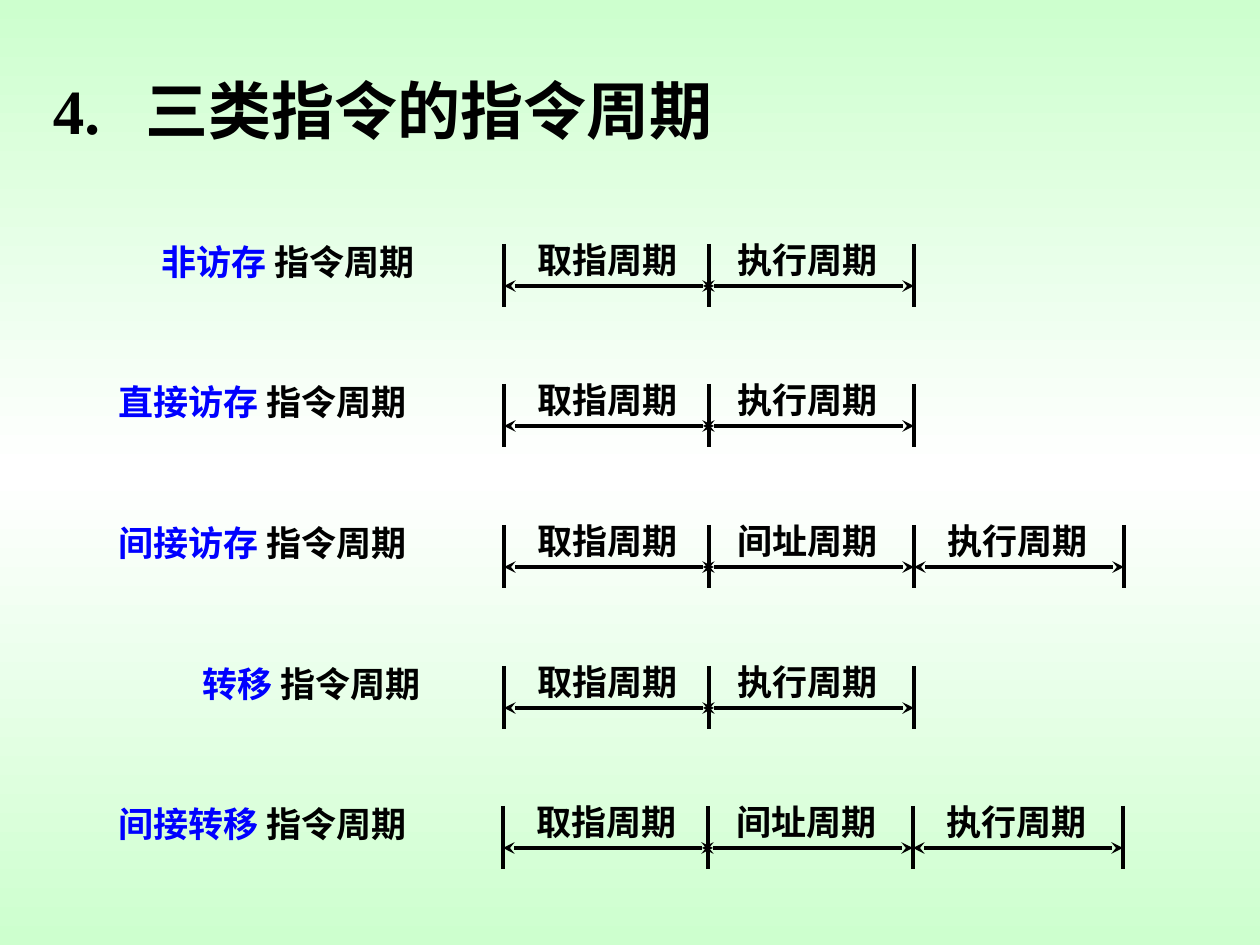
from copy import deepcopy
from dataclasses import dataclass

from lxml.etree import SubElement
from pptx import Presentation
from pptx.dml.color import RGBColor
from pptx.enum.shapes import MSO_CONNECTOR as Connector
from pptx.enum.text import MSO_ANCHOR as Anchor, MSO_AUTO_SIZE as AutoSize, PP_ALIGN as Align
from pptx.oxml.ns import qn
from pptx.util import Inches, Pt

SCALE = Inches(1) / 126


def px(length):
    return round(length * SCALE)


@dataclass(frozen=True)
class Theme:
    font: str = "Times New Roman"
    ink: RGBColor = RGBColor(0x00, 0x00, 0x00)
    accent: RGBColor = RGBColor(0x00, 0x00, 0xFF)
    edge: RGBColor = RGBColor(0xCD, 0xFF, 0xCE)
    middle: RGBColor = RGBColor(0xFF, 0xFF, 0xFF)
    title_size: Pt = Pt(36)
    text_size: Pt = Pt(20)
    line_width: Pt = Pt(2.25)


class SlideBuilder:
    def __init__(self, slide, theme):
        self.slide = slide
        self.theme = theme

    def background(self):
        fill = self.slide.background.fill
        fill.gradient()
        fill.gradient_angle = 270
        for stop in fill.gradient_stops:
            stop.color.rgb = self.theme.middle
        stops = self.slide.element.find(".//" + qn("a:gsLst"))
        stops.insert(1, deepcopy(stops[0]))
        colors = (self.theme.edge, self.theme.middle, self.theme.edge)
        for stop, position, color in zip(fill.gradient_stops, (0, 0.5, 1), colors):
            stop.position = position
            stop.color.rgb = color

    def style(self, paragraph, size):
        paragraph.alignment = Align.LEFT
        font = paragraph.font
        font.name, font.size, font.bold = self.theme.font, size, True
        font.color.rgb = self.theme.ink

    def title(self, number, heading, x, y, w, h, indent):
        title = self.slide.shapes.title
        title.left, title.top, title.width, title.height = map(px, (x, y, w, h))
        frame = title.text_frame
        frame.auto_size = AutoSize.NONE
        frame.word_wrap = True
        frame.vertical_anchor = Anchor.MIDDLE
        frame.margin_left = frame.margin_right = 0
        frame.text = f"{number}\t{heading}"
        paragraph = frame.paragraphs[0]
        self.style(paragraph, self.theme.title_size)
        # The hanging indent sets the gap after the number
        properties = paragraph._p.get_or_add_pPr()
        properties.set("marL", str(px(indent)))
        properties.set("indent", str(-px(indent)))

    def text(self, shapes, x, y, w, h, words, lead=""):
        box = shapes.add_textbox(px(x), px(y), px(w), px(h))
        frame = box.text_frame
        frame.word_wrap = False
        frame.auto_size = AutoSize.NONE
        paragraph = frame.paragraphs[0]
        self.style(paragraph, self.theme.text_size)
        if lead:
            lead_run = paragraph.add_run()
            lead_run.text = lead + " "
            lead_run.font.color.rgb = self.theme.accent
        paragraph.add_run().text = words

    def line(self, shapes, x1, y1, x2, y2, arrows=False):
        line = shapes.add_connector(Connector.STRAIGHT, px(x1), px(y1), px(x2), px(y2))
        line.line.width = self.theme.line_width
        line.line.color.rgb = self.theme.ink
        properties = line.element.spPr
        if arrows:
            for end in ("a:headEnd", "a:tailEnd"):
                SubElement(properties.find(qn("a:ln")), qn(end), type="stealth")
        SubElement(properties, qn("a:effectLst"))

    def timeline(self, phases, top, shift):
        shapes = self.slide.shapes.add_group_shape().shapes
        for boundary in BOUNDARIES[:len(phases) + 1]:
            self.line(shapes, boundary + shift, top, boundary + shift, top + TICK_HEIGHT)
        for phase, (start, end), text_x in zip(phases, SPANS, PHASE_TEXT_X):
            arrow_y = top + ARROW_DROP
            self.line(shapes, start + shift, arrow_y, end + shift, arrow_y, arrows=True)
            self.text(shapes, text_x + shift, top - 12, PHASE_WIDTH, TEXT_HEIGHT, phase)


# Timeline geometry; the first two arrows overlap slightly at their shared boundary
BOUNDARIES = (504, 709, 914, 1124)
SPANS = ((504, 714), (703, 914), (914, 1124))
PHASE_TEXT_X = (525, 725, 935)
PHASE_WIDTH, TEXT_HEIGHT = 170, 55
TICK_HEIGHT, ARROW_DROP = 63, 42
FIRST_TOP, ROW_PITCH = 243.5, 140.7

FETCH, INDIRECT, EXECUTE = "取指周期", "间址周期", "执行周期"
SHORT_CYCLE = (FETCH, EXECUTE)
LONG_CYCLE = (FETCH, INDIRECT, EXECUTE)

# Instruction kind, label left, label width, phases, timeline shift
INSTRUCTIONS = (
    ("非访存", 149, 284, SHORT_CYCLE, 0),
    ("直接访存", 106, 320, SHORT_CYCLE, 0),
    ("间接访存", 106, 320, LONG_CYCLE, 0),
    ("转移", 190, 249, SHORT_CYCLE, 0),
    ("间接转移", 106, 320, LONG_CYCLE, -1),
)


def main():
    deck = Presentation()
    deck.slide_width, deck.slide_height = px(1260), px(945)
    builder = SlideBuilder(deck.slides.add_slide(deck.slide_layouts[5]), Theme())

    # Background and title
    builder.background()
    builder.title("4.", "三类指令的指令周期", 53, 73, 680, 73, indent=93)

    # One labelled timeline per instruction kind
    for row, (kind, x, width, phases, shift) in enumerate(INSTRUCTIONS):
        top = round(FIRST_TOP + row * ROW_PITCH)
        builder.timeline(phases, top, shift)
        builder.text(builder.slide.shapes, x, top - 10, width, TEXT_HEIGHT, "指令周期", lead=kind)

    deck.save("out.pptx")


if __name__ == "__main__":
    main()
